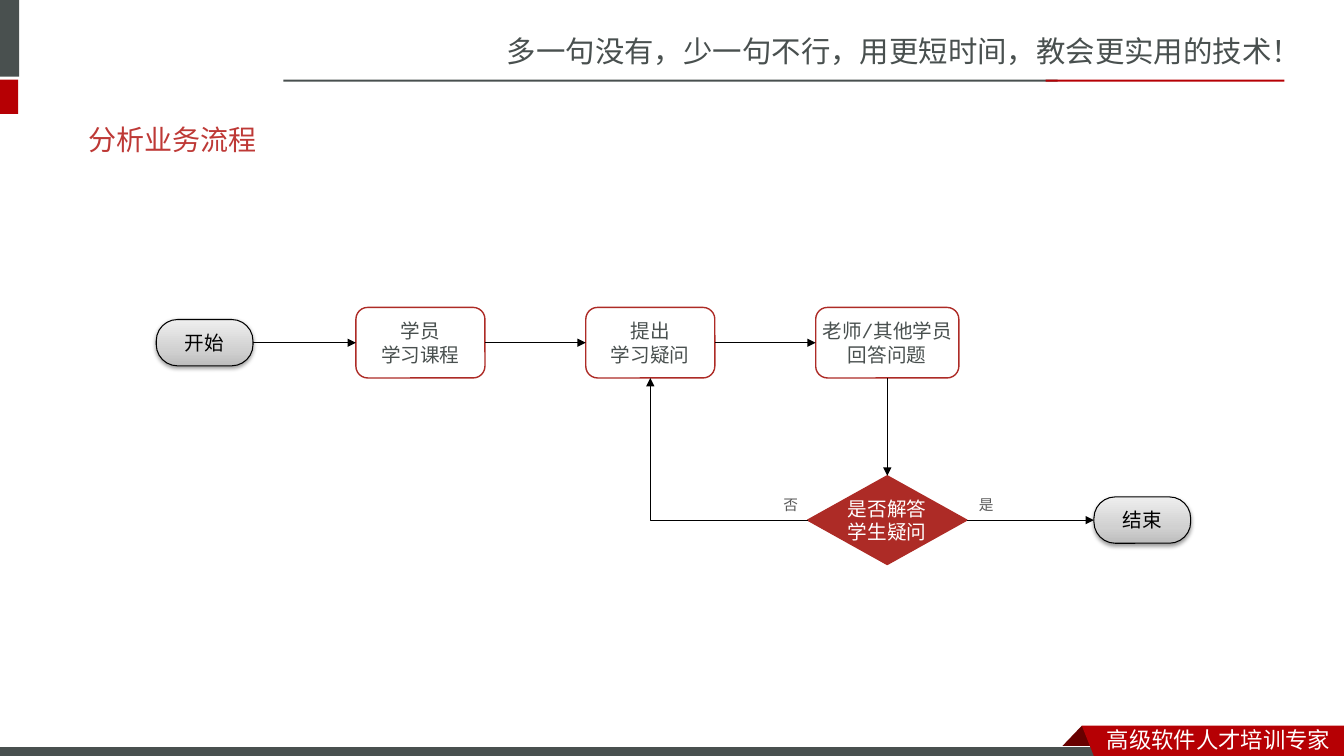
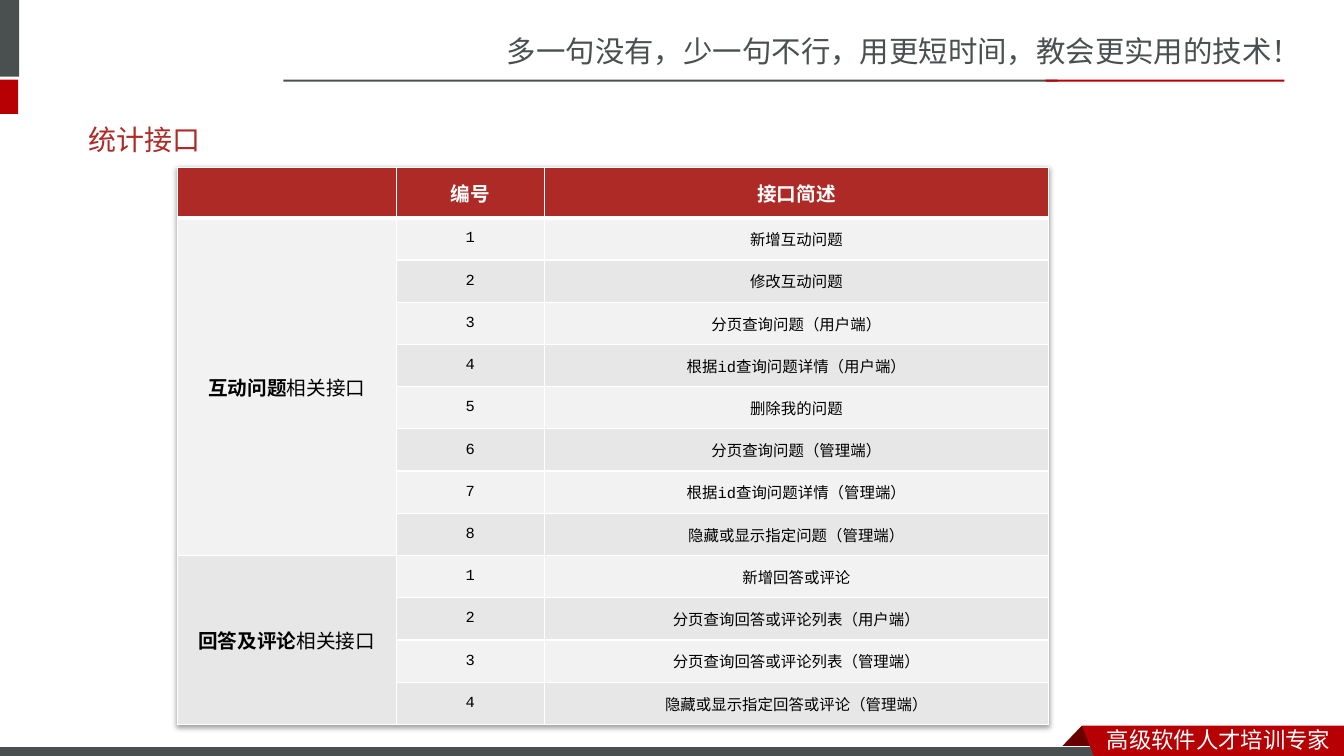
from copy import deepcopy
from dataclasses import dataclass

from lxml.etree import SubElement
from pptx import Presentation
from pptx.dml.color import RGBColor
from pptx.enum.dml import MSO_FILL
from pptx.enum.shapes import MSO_CONNECTOR, MSO_SHAPE
from pptx.enum.text import MSO_ANCHOR, PP_ALIGN
from pptx.oxml.ns import qn
from pptx.util import Emu, Inches, Pt

GRID = Inches(0.1)
TOP, LEFT, BOTTOM, RIGHT = range(4)


@dataclass(frozen=True)
class Theme:
    slate: str = "49504F"
    crimson: str = "B60004"
    maroon: str = "680000"
    brick: str = "AD2B26"
    title_red: str = "BE3936"
    table_red: str = "AD2A26"
    label_gray: str = "595959"
    white: str = "FFFFFF"
    black: str = "000000"
    bands: tuple = ("F2F2F2", "E7E7E7")
    metal: tuple = ((0, "BDBDBD"), (0.35, "D1D1D1"), (1, "EEEEEE"))
    sans: str = "Noto Sans CJK SC"
    heading: str = "Lato"
    mono: str = "Courier New"
    slogan_size: float = 21
    title_size: float = 20
    ribbon_size: float = 16
    node_size: float = 14
    cell_size: float = 11
    label_size: float = 10.5


THEME = Theme()


def cells(*lengths):
    return [Emu(round(length * GRID)) for length in lengths]


def set_format(target, values):
    for name, value in values.items():
        setattr(target, name, value)


def style(size, color, name=THEME.mono, bold=False):
    return {"size": Pt(size), "name": name, "bold": bold}, RGBColor.from_string(color)


def write_span(para, text, look, **changes):
    values, color = look
    span = para.add_run()
    span.text = text
    set_format(span.font, {**values, **changes})
    span.font.color.rgb = color
    SubElement(span.font._element, qn("a:ea"), typeface=THEME.sans)


def write(frame, lines, look, align=PP_ALIGN.CENTER):
    for index, line in enumerate(lines):
        para = frame.add_paragraph() if index else frame.paragraphs[0]
        para.alignment = align
        write_span(para, line, look)


def paint(shape, fill, line=None, width=1):
    shape.shadow.inherit = False
    if fill:
        shape.fill.solid()
        shape.fill.fore_color.rgb = RGBColor.from_string(fill)
    if line:
        shape.line.color.rgb = RGBColor.from_string(line)
        shape.line.width = Pt(width)
    else:
        shape.line.fill.background()


def add_soft_shadow(effects):
    shadow = SubElement(effects, qn("a:outerShdw"), blurRad=str(Pt(3.1)), dist=str(Pt(1.6)),
                        dir="5400000", rotWithShape="0")
    color = SubElement(shadow, qn("a:srgbClr"), val=THEME.black)
    SubElement(color, qn("a:alpha"), val="38000")


def add_bar(page, area, fill, line=None):
    bar = page.shapes.add_shape(MSO_SHAPE.RECTANGLE, *cells(*area))
    paint(bar, fill, line, 0.75)


def add_outline(page, corners, fill):
    start, *rest = [cells(*corner) for corner in corners]
    builder = page.shapes.build_freeform(*start)
    builder.add_line_segments(rest, close=True)
    paint(builder.convert_to_shape(), fill)


def add_text(page, area, text, look, wrap=True):
    box = page.shapes.add_textbox(*cells(*area))
    box.text_frame.word_wrap = wrap
    write(box.text_frame, [text], look, PP_ALIGN.LEFT)


def draw_frame(page):
    add_text(page, (49.3, 2.8, 84, 4.7), "多一句没有，少一句不行，用更短时间，教会更实用的技术！",
             style(THEME.slogan_size, THEME.slate, THEME.sans))
    add_bar(page, (0, 0, 1.9, 7.6), THEME.slate)
    add_bar(page, (0, 7.9, 1.8, 3.4), THEME.crimson)
    add_bar(page, (28.1, 7.9, 76.8, 0.2), THEME.slate)
    add_bar(page, (103.7, 7.9, 23.7, 0.2), THEME.crimson)
    add_outline(page, [(107.3, 72), (109.5, 74.3), (105.1, 74.3)], THEME.maroon)
    add_bar(page, (-0.1, 74.1, 110, 1.2), THEME.slate, THEME.white)
    add_outline(page, [(107.3, 72), (133.3, 72), (133.3, 75), (108.5, 75)], THEME.crimson)
    add_text(page, (108.8, 71.5, 24.5, 3.7), "高级软件人才培训专家",
             style(THEME.ribbon_size, THEME.white, THEME.sans))


def prepare_layout(deck):
    layout = deck.slide_layouts.get_by_name("Title Only")
    title, *extras = layout.placeholders
    for extra in extras:
        extra._element.getparent().remove(extra._element)
    set_format(title, dict(zip(("left", "top", "width", "height"), cells(7.8, 11, 117, 5.7))))
    return layout


def move_frame_to_layout(page):
    for shape in list(page.shapes):
        if not shape.is_placeholder:
            page.slide_layout.shapes._spTree.append(shape._element)


def set_title(page, text, color):
    frame = page.shapes.title.text_frame
    frame.vertical_anchor = MSO_ANCHOR.MIDDLE
    write(frame, [text], style(THEME.title_size, color, THEME.heading), PP_ALIGN.LEFT)


def add_node(page, preset, center, size, lines, fill, line, color):
    (x, y), (width, height) = center, size
    node = page.shapes.add_shape(preset, *cells(x - width / 2, y - height / 2, width, height))
    paint(node, fill, line, 1 if fill else 0.75)
    node.text_frame.vertical_anchor = MSO_ANCHOR.MIDDLE
    write(node.text_frame, lines, style(THEME.node_size, color))
    return node


def remove_side_insets(node):
    set_format(node.text_frame, {"margin_left": 0, "margin_right": 0})


def add_step(page, center, width, lines):
    step = add_node(page, MSO_SHAPE.ROUNDED_RECTANGLE, center, (width, 7), lines,
                    THEME.white, THEME.brick, THEME.slate)
    remove_side_insets(step)
    return step


def add_terminal(page, center, text):
    terminal = add_node(page, MSO_SHAPE.ROUNDED_RECTANGLE, center, (9.6, 4.6), [text],
                        None, THEME.black, THEME.black)
    terminal.adjustments[0] = 0.46
    terminal.fill.gradient()
    terminal.fill.gradient_angle = 90
    stops = terminal._element.find(".//" + qn("a:gsLst"))
    stops.append(deepcopy(stops[0]))
    for stop, (position, color) in zip(terminal.fill.gradient_stops, THEME.metal):
        stop.position = position
        stop.color.rgb = RGBColor.from_string(color)
    add_soft_shadow(terminal._element.spPr.find(qn("a:effectLst")))
    return terminal


def add_arrow(page, source, source_side, target, target_side, kind=MSO_CONNECTOR.STRAIGHT):
    arrow = page.shapes.add_connector(kind, 0, 0, 0, 0)
    arrow.begin_connect(source, source_side)
    arrow.end_connect(target, target_side)
    arrow.line.color.rgb = RGBColor.from_string(THEME.black)
    arrow.line.width = Pt(0.75)
    properties = arrow._element.spPr
    SubElement(properties.find(qn("a:ln")), qn("a:tailEnd"), type="triangle")
    SubElement(properties, qn("a:effectLst"))
    return arrow


def add_return_arrow(page, source, target):
    arrow = add_arrow(page, source, LEFT, target, BOTTOM, MSO_CONNECTOR.ELBOW)
    properties = arrow._element.spPr
    properties.find(qn("a:prstGeom")).set("prst", "bentConnector2")
    transform = properties.find(qn("a:xfrm"))
    for flip in ("flipH", "flipV"):
        transform.attrib.pop(flip, None)
    transform.set("rot", "10800000")


def draw_flow(page):
    upper, lower, first, pitch = 34, 51.6, 35.3, 22.8
    steps = []
    for index, (width, lines) in enumerate((
        (12.8, ["学员", "学习课程"]),
        (12.8, ["提出", "学习疑问"]),
        (14.2, ["老师/其他学员", "回答问题"]),
    )):
        steps.append(add_step(page, (first + index * pitch + width / 2, upper), width, lines))
    study, ask, answer = steps
    start = add_terminal(page, (20.3, upper), "开始")
    end = add_terminal(page, (113.3, lower), "结束")
    decision = add_node(page, MSO_SHAPE.DIAMOND, (88, lower), (15.8, 8.8), ["是否解答学生疑问"],
                        THEME.brick, THEME.brick, THEME.white)
    remove_side_insets(decision)
    for source, target in zip((start, study, ask), steps):
        add_arrow(page, source, RIGHT, target, LEFT)
    add_arrow(page, answer, BOTTOM, decision, TOP)
    add_arrow(page, decision, RIGHT, end, LEFT)
    add_return_arrow(page, decision, ask)
    for left, text in ((76.7, "否"), (96.1, "是")):
        add_text(page, (left, 48.7, 3.5, 2.8), text,
                 style(THEME.label_size, THEME.label_gray), wrap=False)


def format_cell(cell, fill, bottom=1):
    properties = cell._tc.get_or_add_tcPr()
    for side, width in (("lnL", 1), ("lnR", 1), ("lnT", 1), ("lnB", bottom)):
        edge = SubElement(properties, qn("a:" + side), w=str(Pt(width)))
        SubElement(SubElement(edge, qn("a:solidFill")), qn("a:srgbClr"), val=THEME.white)
    cell.fill.solid()
    cell.fill.fore_color.rgb = RGBColor.from_string(fill)
    cell.vertical_anchor = MSO_ANCHOR.MIDDLE


def fill_group_cell(cell, subject, look):
    para = cell.text_frame.paragraphs[0]
    para.alignment = PP_ALIGN.CENTER
    write_span(para, subject, look, bold=True)
    write_span(para, "相关接口", look)


def draw_table(page, groups):
    count = sum(len(items) for _, items in groups)
    widths, header_height, row_height = (21.7, 14.7, 50), 5, 4.19
    area = cells(17.6, 16.6, sum(widths), header_height + count * row_height)
    table = page.shapes.add_table(count + 1, len(widths), *area).table
    table.horz_banding = False
    effects = SubElement(table._tbl.tblPr, qn("a:effectLst"))
    table._tbl.tblPr.insert(0, effects)
    add_soft_shadow(effects)
    for column, width in zip(table.columns, cells(*widths)):
        column.width = width
    for row, height in zip(table.rows, cells(header_height, *[row_height] * count)):
        row.height = height

    for column, heading in enumerate(("", "编号", "接口简述")):
        cell = table.cell(0, column)
        format_cell(cell, THEME.table_red, bottom=3)
        if heading:
            write(cell.text_frame, [heading], style(THEME.node_size, THEME.white, bold=True))

    row = 1
    for group, (subject, items) in enumerate(groups):
        first = row
        for number, item in enumerate(items, 1):
            format_cell(table.cell(row, 0), THEME.bands[group % 2])
            for column, text in ((1, str(number)), (2, item)):
                cell = table.cell(row, column)
                format_cell(cell, THEME.bands[(row - 1) % 2])
                write(cell.text_frame, [text], style(THEME.cell_size, THEME.black))
            row += 1
        table.cell(first, 0).merge(table.cell(row - 1, 0))
        fill_group_cell(table.cell(first, 0), subject, style(THEME.node_size, THEME.black))


def main():
    deck = Presentation()
    deck.slide_width, deck.slide_height = cells(133.3, 75)
    layout = prepare_layout(deck)

    flow_page = deck.slides.add_slide(layout)
    draw_frame(flow_page)
    move_frame_to_layout(flow_page)
    set_title(flow_page, "分析业务流程", THEME.title_red)
    draw_flow(flow_page)

    table_page = deck.slides.add_slide(layout)
    set_title(table_page, "统计接口", THEME.table_red)
    draw_table(table_page, (
        ("互动问题", ("新增互动问题", "修改互动问题", "分页查询问题（用户端）",
                  "根据id查询问题详情（用户端）", "删除我的问题", "分页查询问题（管理端）",
                  "根据id查询问题详情（管理端）", "隐藏或显示指定问题（管理端）")),
        ("回答及评论", ("新增回答或评论", "分页查询回答或评论列表（用户端）",
                   "分页查询回答或评论列表（管理端）", "隐藏或显示指定回答或评论（管理端）")),
    ))
    deck.save("out.pptx")


if __name__ == "__main__":
    main()
